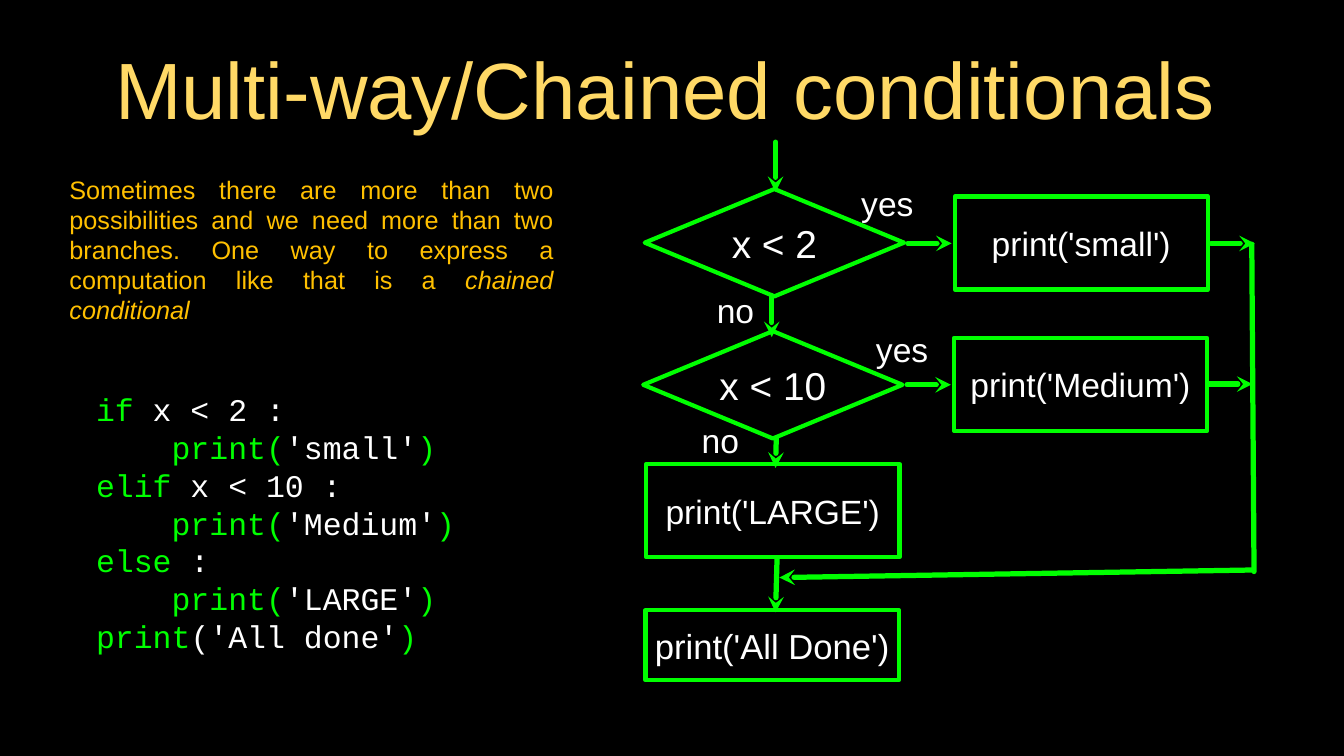
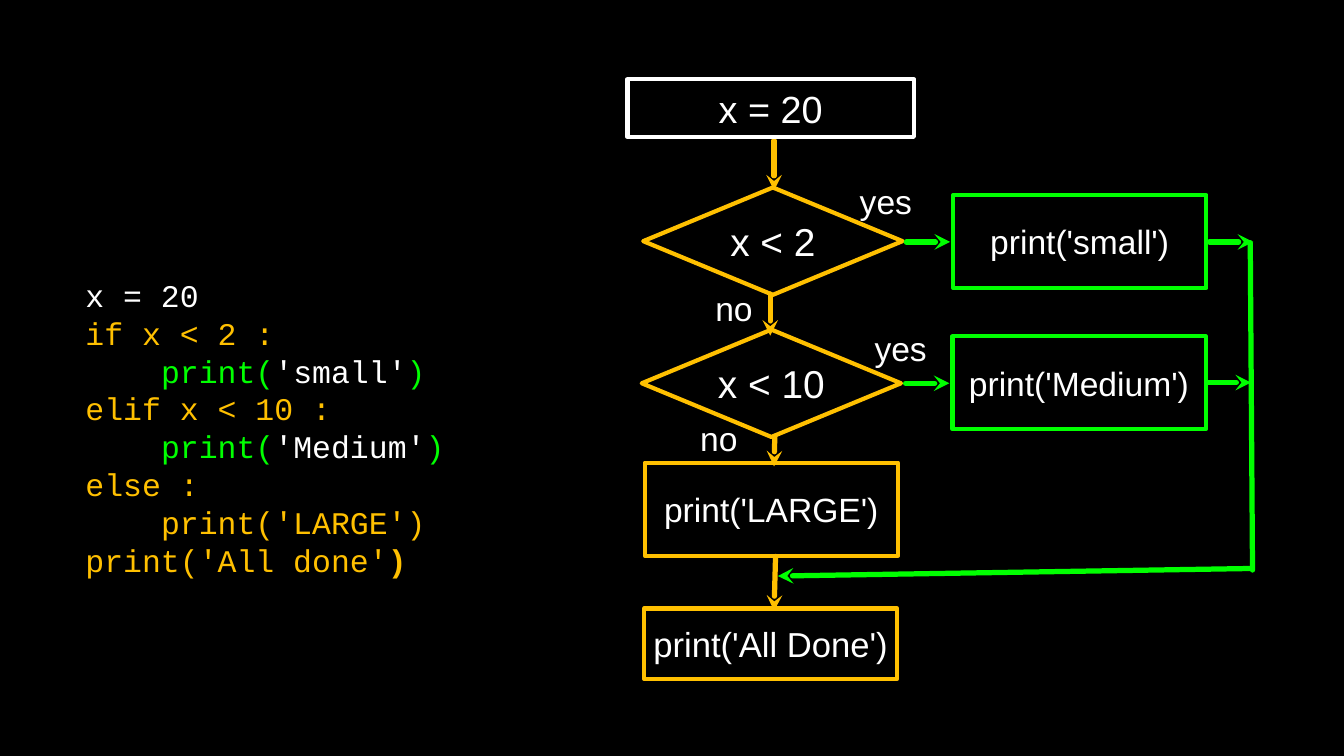
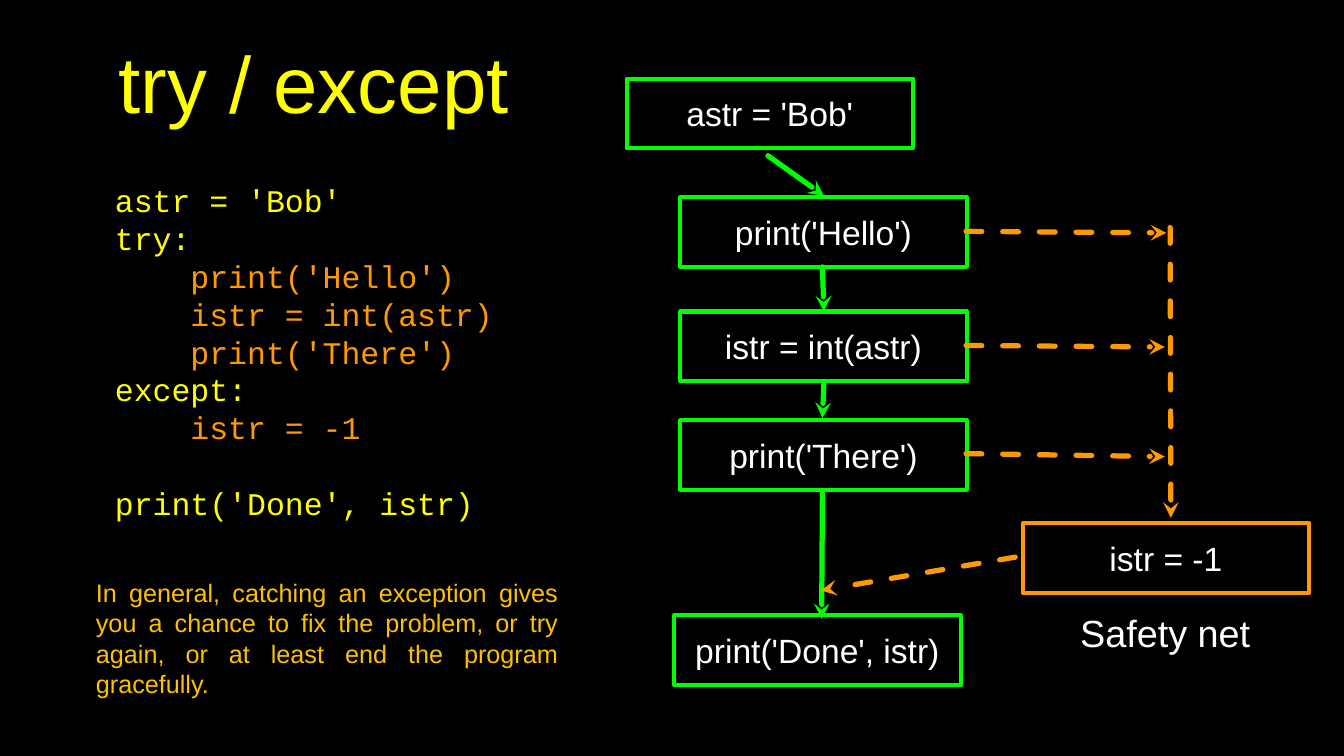
from lxml import etree
from pptx import Presentation
from pptx.dml.color import RGBColor
from pptx.enum.dml import MSO_LINE
from pptx.enum.shapes import MSO_CONNECTOR, MSO_SHAPE
from pptx.enum.text import MSO_ANCHOR, PP_ALIGN
from pptx.oxml.ns import qn
from pptx.util import Inches, Pt

RECTANGLE, DIAMOND = MSO_SHAPE.RECTANGLE, MSO_SHAPE.DIAMOND
STRAIGHT, DASH = MSO_CONNECTOR.STRAIGHT, MSO_LINE.DASH
LEFT, CENTER, JUSTIFY = PP_ALIGN.LEFT, PP_ALIGN.CENTER, PP_ALIGN.JUSTIFY
TOP, MIDDLE = MSO_ANCHOR.TOP, MSO_ANCHOR.MIDDLE
TITLE_ONLY, BLANK = 5, 6

COLORS = {
    "black": "000000",
    "white": "FFFFFF",
    "green": "00FF00",
    "amber": "FFC000",
    "gold": "FFD966",
    "yellow": "FFFF00",
    "orange": "FF9900",
}
CODE = {"font": "Courier New", "size": 30, "align": LEFT}
NOTE = {"size": 24, "color": "amber", "align": JUSTIFY, "anchor": TOP, "margins": (0.1, 0.05)}
TITLE = {"form": "title", "size": 76, "margins": (0.04, 0.04)}


def add_text(slide, text, box, form=None, line=None, font="Arial", size=32, color="white",
             align=CENTER, anchor=MIDDLE, margins=(0, 0), gap_before=None):
    """Put text in the title, a preset shape, or a text box when form is None.

    text is a string or a list of (indent in inches, runs); a run is (text, color, style).
    gap_before is the index of a paragraph that stands one line lower.
    """
    box = [Inches(value) for value in box]
    if form == "title":
        shape = slide.shapes.title
        shape.left, shape.top, shape.width, shape.height = box
    elif form is None:
        shape = slide.shapes.add_textbox(*box)
    else:
        shape = slide.shapes.add_shape(form, *box)
        shape.shadow.inherit = False
        shape.fill.background()
        shape.line.color.rgb = RGBColor.from_string(COLORS[line])
        shape.line.width = Pt(4)

    frame = shape.text_frame
    frame.word_wrap = True
    frame.vertical_anchor = anchor
    frame.margin_left = frame.margin_right = Inches(margins[0])
    frame.margin_top = frame.margin_bottom = Inches(margins[1])
    paragraphs = [(0, [(text, color)])] if isinstance(text, str) else text
    for index, (indent, runs) in enumerate(paragraphs):
        paragraph = frame.add_paragraph() if index else frame.paragraphs[0]
        paragraph.alignment = align
        paragraph.line_spacing = Pt(1.2 * size)
        if index == gap_before:
            paragraph.space_before = Pt(1.2 * size)
        if indent:
            paragraph._p.get_or_add_pPr().set("marL", str(Inches(indent)))
        for content, run_color, *style in runs:
            run = paragraph.add_run()
            run.text = content
            run.font.name = font
            run.font.size = Pt(size)
            run.font.color.rgb = RGBColor.from_string(COLORS[run_color])
            if "bold" in style:
                run.font.bold = True
            if "italic" in style:
                run.font.italic = True


def add_line(slide, start, end, color="green", dashed=False, arrow=True):
    connector = slide.shapes.add_connector(STRAIGHT, *(Inches(value) for value in (*start, *end)))
    connector.line.color.rgb = RGBColor.from_string(COLORS[color])
    connector.line.width = Pt(5)
    if dashed:
        connector.line.dash_style = DASH
    outline = connector.line._get_or_add_ln()
    outline.set("cap", "rnd")
    if arrow:
        etree.SubElement(outline, qn("a:tailEnd"), type="stealth")
    etree.SubElement(connector._element.spPr, qn("a:effectLst"))


presentation = Presentation()
presentation.slide_width = Inches(17.78)
presentation.slide_height = Inches(10)
background = presentation.slide_master.background.fill
background.solid()
background.fore_color.rgb = RGBColor.from_string(COLORS["black"])
chained_slide, trace_slide, try_slide = [
    presentation.slides.add_slide(presentation.slide_layouts[layout])
    for layout in (TITLE_ONLY, BLANK, TITLE_ONLY)
]

# Flowchart shared by the first two slides; the path taken has its own colour
for slide, shift, path_color in ((chained_slide, 0, "green"), (trace_slide, -0.02, "amber")):
    nodes = [
        ("x < 2", DIAMOND, (8.53, 2.5, 3.43, 1.42), 37, path_color),
        ("x < 10", DIAMOND, (8.51, 4.38, 3.43, 1.42), 37, path_color),
        ("print('small')", RECTANGLE, (12.63, 2.6, 3.35, 1.23), 32, "green"),
        ("print('Medium')", RECTANGLE, (12.62, 4.47, 3.35, 1.23), 32, "green"),
        ("print('LARGE')", RECTANGLE, (8.55, 6.14, 3.35, 1.23), 32, path_color),
        ("print('All Done')", RECTANGLE, (8.54, 8.07, 3.35, 0.93), 33, path_color),
        ("yes", None, (11.36, 2.41, 0.76, 0.54), 32, None),
        ("yes", None, (11.51, 4.35, 0.85, 0.54), 32, None),
        ("no", None, (9.47, 3.83, 0.52, 0.54), 32, None),
        ("no", None, (9.27, 5.55, 0.52, 0.54), 32, None),
    ]
    for text, form, (left, top, width, height), size, line in nodes:
        add_text(slide, text, (left + shift, top + shift, width, height),
                 form=form, size=size, line=line)

    lines = [
        ((10.26, 1.88), (10.26, 2.54), path_color, True),
        ((10.21, 3.91), (10.21, 4.46), path_color, True),
        ((10.27, 5.79), (10.26, 6.19), path_color, True),
        ((10.28, 7.38), (10.26, 8.1), path_color, True),
        ((12.01, 3.22), (12.59, 3.22), "green", True),
        ((12, 5.09), (12.58, 5.09), "green", True),
        ((16.02, 3.22), (16.6, 3.22), "green", True),
        ((15.99, 5.08), (16.57, 5.08), "green", True),
        ((16.56, 3.23), (16.59, 7.56), "green", False),
        ((16.57, 7.54), (10.31, 7.64), "green", True),
    ]
    for start, end, color, arrow in lines:
        add_line(slide, [value + shift for value in start], [value + shift for value in end],
                 color=color, arrow=arrow)

# Slide 1: chained conditionals
small_call, medium_call, large_call = [
    (1, [("print(", "green"), (f"'{word}'", "white"), (")", "green")])
    for word in ("small", "Medium", "LARGE")
]
add_text(chained_slide, "Multi-way/Chained conditionals", (1.37, 0.31, 14.85, 1.7),
         color="gold", **TITLE)
add_text(chained_slide, [(0, [
    ("Sometimes there are more than two possibilities and we need more than two branches. "
     "One way to express a computation like that is a ", "amber"),
    ("chained conditional", "amber", "italic"),
])], (0.82, 2.25, 6.6, 2.12), **NOTE)
add_text(chained_slide, [
    (0, [("if ", "green"), ("x < 2 :", "white")]),
    small_call,
    (0, [("elif", "green"), (" x < 10 :", "white")]),
    medium_call,
    (0, [("else", "green"), (" :", "white")]),
    large_call,
    (0, [("print", "green"), ("('All done'", "white"), (")", "green")]),
], (1.27, 4.47, 5.58, 4.88), **CODE)

# Slide 2: the path for x = 20
add_text(trace_slide, "x = 20", (8.3, 1.05, 3.79, 0.76), form=RECTANGLE, line="white", size=36)
add_text(trace_slide, [
    (0, [("x = 20", "white")]),
    (0, [("if x < 2 :", "amber")]),
    small_call,
    (0, [("elif x < 10 :", "amber")]),
    medium_call,
    (0, [("else :", "amber")]),
    (1, [("print('LARGE')", "amber")]),
    (0, [("print('All done'", "amber"), (")", "amber", "bold")]),
], (1.13, 3.21, 5.58, 4.88), **CODE)

# Slide 3: try / except
add_text(try_slide, "try / except", (0.88, 0.1, 6.54, 1.96), color="yellow", **TITLE)
try_code = [
    (0, "astr = 'Bob'"),
    (0, "try:"),
    (1, "print('Hello')"),
    (1, "istr = int(astr)"),
    (1, "print('There')"),
    (0, "except:"),
    (1, "istr = -1"),
    (0, "print('Done', istr)"),
]
add_text(try_slide,
         [(indent, [(text, "orange" if indent else "yellow")]) for indent, text in try_code],
         (1.52, 2.05, 5.66, 5.2), gap_before=len(try_code) - 1, **CODE)
add_text(try_slide,
         "In general, catching an exception gives you a chance to fix the problem, "
         "or try again, or at least end the program gracefully.",
         (1.17, 7.59, 6.31, 1.72), **NOTE)

for text, left, top, line in (
    ("astr = 'Bob'", 8.29, 1.04, "green"),
    ("print('Hello')", 9, 2.61, "green"),
    ("istr = int(astr)", 9, 4.12, "green"),
    ("print('There')", 9, 5.56, "green"),
    ("print('Done', istr)", 8.92, 8.14, "green"),
    ("istr = -1", 13.53, 6.92, "orange"),
):
    add_text(try_slide, text, (left, top, 3.79, 0.92), form=RECTANGLE, line=line)
add_text(try_slide, "Safety net", (14.13, 8.03, 2.57, 0.68), size=36)

for start, end in (
    ((10.16, 2.06), (10.9, 2.59)),
    ((10.88, 3.53), (10.9, 4.12)),
    ((10.9, 5.05), (10.88, 5.53)),
    ((10.88, 6.5), (10.87, 8.19)),
):
    add_line(try_slide, start, end)
for start, end in (
    ((12.78, 3.06), (15.43, 3.08)),
    ((12.78, 4.57), (15.41, 4.59)),
    ((12.78, 6), (15.41, 6.04)),
    ((15.48, 3.01), (15.49, 6.85)),
    ((13.43, 7.37), (10.86, 7.81)),
):
    add_line(try_slide, start, end, color="orange", dashed=True)

presentation.save("out.pptx")
